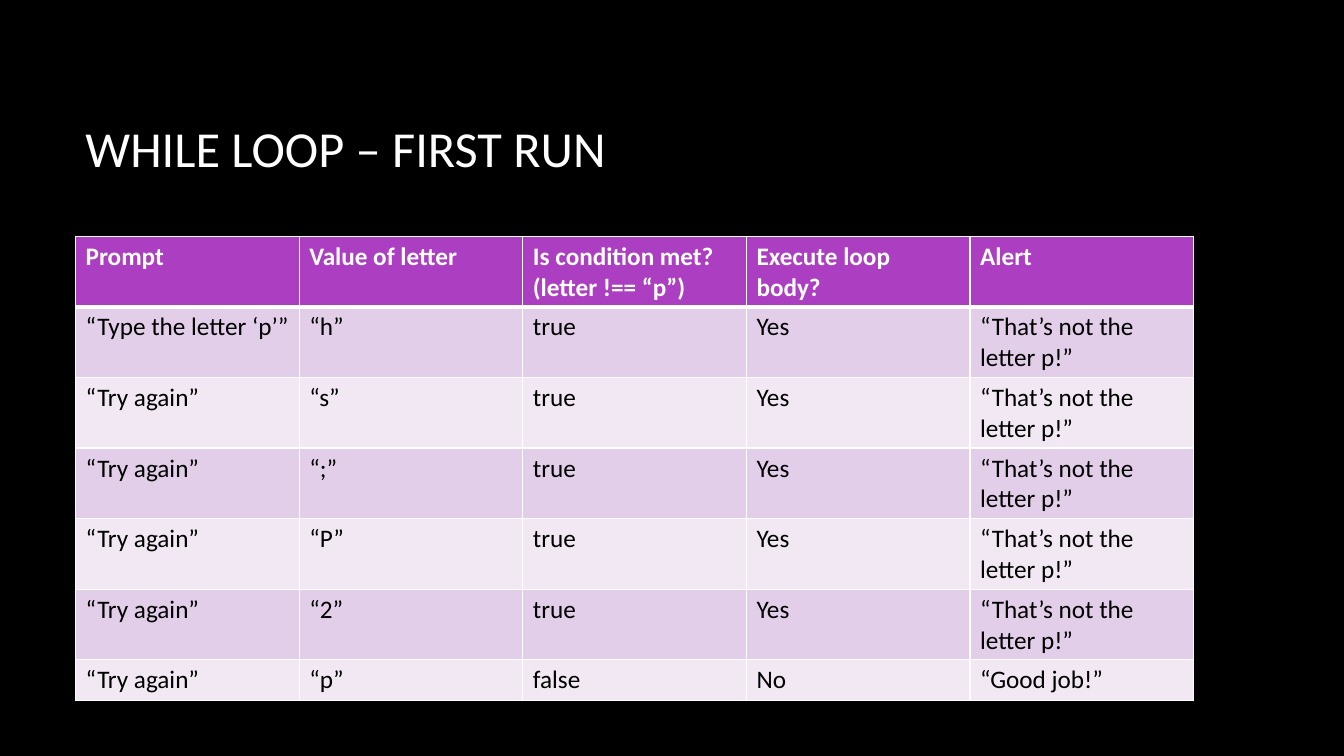
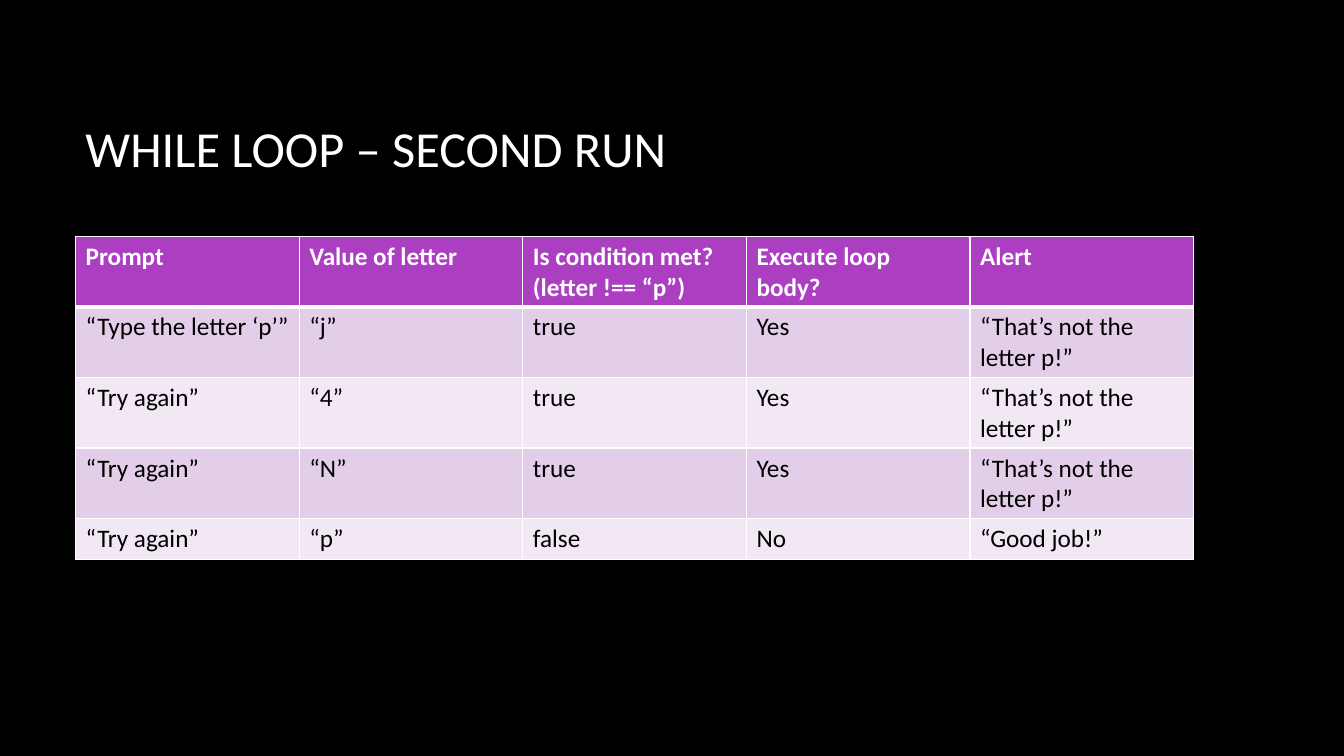
"""Build two slides that trace runs of a while loop in tables."""
from lxml.etree import SubElement
from pptx import Presentation
from pptx.dml.color import RGBColor as RGB
from pptx.enum.text import MSO_ANCHOR as ANCHOR
from pptx.oxml.ns import qn
from pptx.util import Pt

RUNS = [
    ("WHILE LOOP – FIRST RUN", ["h", "s", ";", "P", "2", "p"]),
    ("WHILE LOOP – SECOND RUN", ["j", "4", "N", "p"]),
]
HEADER = [
    "Prompt",
    "Value of letter",
    "Is condition met?\n(letter !== “p”)",
    "Execute loop body?",
    "Alert",
]
PROMPTS = {"first": "“Type the letter ‘p’”", "next": "“Try again”"}
OUTCOMES = {
    True: ["true", "Yes", "“That’s not the letter p!”"],
    False: ["false", "No", "“Good job!”"],
}
COLORS = {
    "background": "000000",
    "title": "FFFFFF",
    "border": "FFFFFF",
    "header": "AC3EC1",
    "header_text": "FFFFFF",
    "odd": "E3CEE9",
    "even": "F1E8F4",
    "body_text": "000000",
}
FONT = "Calibri"
PX = 9525
SLIDE_W, SLIDE_H = 1280, 720
LEFT, TITLE_TOP, TITLE_H = 72, 64, 153
TABLE_TOP, COL_W, ROW_H = 225, 213, 39
TABLE_W = COL_W * len(HEADER)
THIN, THICK = 1, 3


def px(*lengths):
    return [n * PX for n in lengths]


def color(name):
    return RGB.from_string(COLORS[name])


def write(tf, text, size, color_name, bold=False):
    tf.word_wrap = True
    for i, line in enumerate(text.split("\n")):
        p = tf.add_paragraph() if i else tf.paragraphs[0]
        r = p.add_run()
        r.text = line
        r.font.name = FONT
        r.font.size = Pt(size)
        r.font.bold = bold
        r.font.color.rgb = color(color_name)


def add_borders(cell, top, bottom):
    tc_pr = cell._tc.get_or_add_tcPr()
    for side, width in (("L", THIN), ("R", THIN), ("T", top), ("B", bottom)):
        ln = SubElement(tc_pr, qn(f"a:ln{side}"), w=str(Pt(width)))
        fill = SubElement(ln, qn("a:solidFill"))
        SubElement(fill, qn("a:srgbClr"), val=COLORS["border"])


def trace(letters):
    rows = [HEADER]
    for i, letter in enumerate(letters):
        prompt = PROMPTS["next" if i else "first"]
        rows.append([prompt, f"“{letter}”", *OUTCOMES[letter != "p"]])
    return rows


def add_title(s, text):
    sp = s.shapes.add_textbox(*px(LEFT, TITLE_TOP, TABLE_W, TITLE_H))
    sp.text_frame.vertical_anchor = ANCHOR.MIDDLE
    write(sp.text_frame, text, 36, "title")


def add_trace_table(s, rows):
    box = px(LEFT, TABLE_TOP, TABLE_W, ROW_H * len(rows))
    table = s.shapes.add_table(len(rows), len(HEADER), *box).table
    for i, texts in enumerate(rows):
        is_header = i == 0
        fill = "header" if is_header else "odd" if i % 2 else "even"
        text_color = "header_text" if is_header else "body_text"
        for j, text in enumerate(texts):
            cell = table.cell(i, j)
            add_borders(cell, THICK if i == 1 else THIN, THICK if is_header else THIN)
            cell.fill.solid()
            cell.fill.fore_color.rgb = color(fill)
            write(cell.text_frame, text, 18, text_color, is_header)


def main():
    prs = Presentation()
    prs.slide_width, prs.slide_height = px(SLIDE_W, SLIDE_H)
    for title, letters in RUNS:
        s = prs.slides.add_slide(prs.slide_layouts[6])
        s.background.fill.solid()
        s.background.fill.fore_color.rgb = color("background")
        add_title(s, title)
        add_trace_table(s, trace(letters))
    prs.save("out.pptx")


if __name__ == "__main__":
    main()
